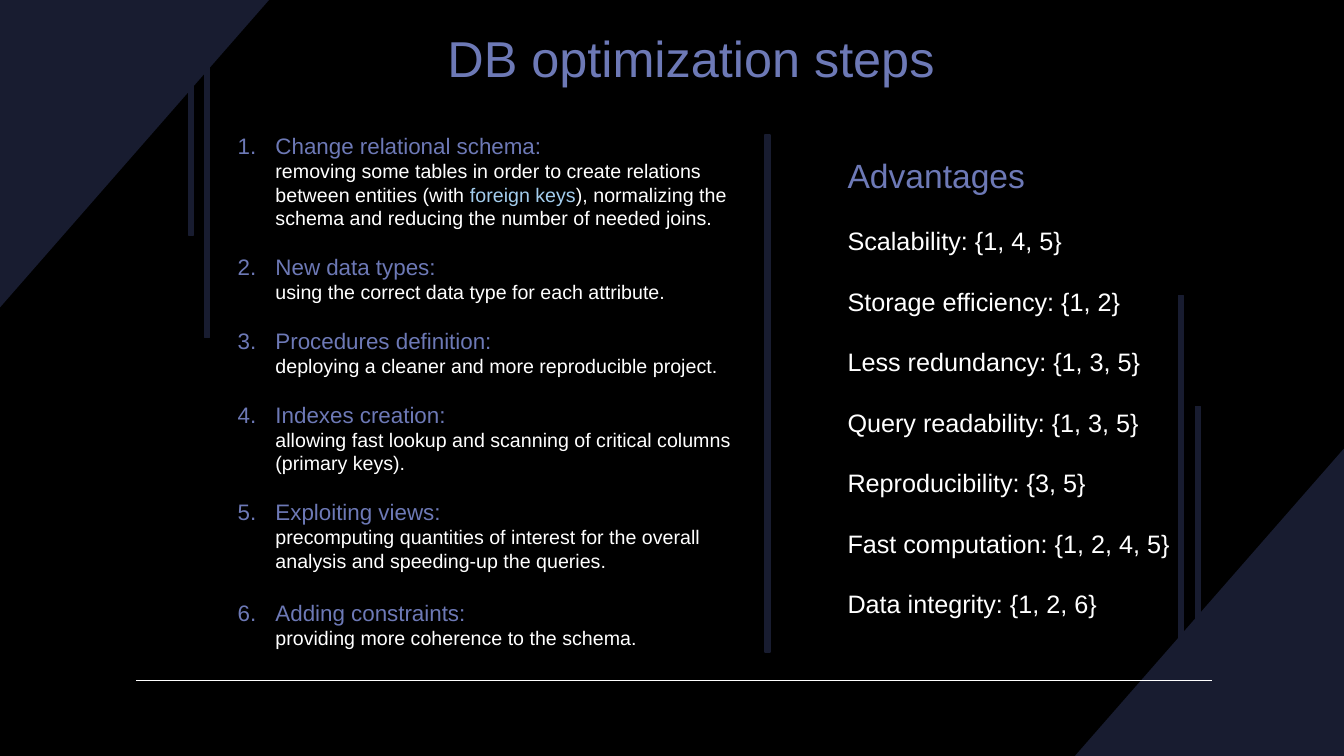
from pptx import Presentation
from pptx.dml.color import RGBColor
from pptx.enum.shapes import MSO_CONNECTOR, MSO_SHAPE
from pptx.oxml.ns import qn
from pptx.util import Pt

RECT = MSO_SHAPE.RECTANGLE
LINE = MSO_CONNECTOR.STRAIGHT
WIDE, HIGH = 960, 540


def hue(code):
    return RGBColor.from_string(code)


def write(para, text, size=14, color="FFFFFF", font="Arial"):
    run = para.add_run()
    run.text = text
    run.font.size = Pt(size)
    run.font.name = font
    run.font.color.rgb = hue(color)


class Deck:
    navy, blue, sky, white = "181C30", "6D79B6", "A3CDED", "FFFFFF"

    def __init__(self, slide):
        self.slide = slide
        fill = slide.background.fill
        fill.solid()
        fill.fore_color.rgb = hue("000000")

    def paint(self, shape):
        shape.shadow.inherit = False
        shape.fill.solid()
        shape.fill.fore_color.rgb = hue(self.navy)

    def wedge(self, *points):
        start, *rest = [(Pt(x), Pt(y)) for x, y in points]
        form = self.slide.shapes.build_freeform(*start)
        form.add_line_segments(rest, close=True)
        shape = form.convert_to_shape()
        self.paint(shape)
        shape.line.fill.background()

    def bar(self, left, top, high):
        shape = self.slide.shapes.add_shape(RECT, Pt(left), Pt(top), Pt(3.6), Pt(high))
        self.paint(shape)
        shape.line.color.rgb = hue(self.navy)
        shape.line.width = Pt(1)

    def rule(self, left, right, y):
        line = self.slide.shapes.add_connector(LINE, Pt(left), Pt(y), Pt(right), Pt(y))
        line.line.color.rgb = hue(self.white)
        line.line.width = Pt(1)
        props = line._element.spPr
        props.append(props.makeelement(qn("a:effectLst"), {}))

    def box(self, left, top, wide, high):
        frame = self.slide.shapes.add_textbox(Pt(left), Pt(top), Pt(wide), Pt(high)).text_frame
        frame.word_wrap = True
        return frame

    def para(self, frame, index, pitch, gap=0):
        para = frame.add_paragraph() if index else frame.paragraphs[0]
        para.line_spacing = Pt(pitch)
        if index:
            para.space_before = Pt(gap)
        return para

    def count(self, para, number):
        props = para._p.get_or_add_pPr()
        props.set("marL", str(Pt(27)))
        props.set("indent", str(-Pt(27)))
        mark = {"type": "arabicPeriod", "startAt": str(number)}
        props.append(props.makeelement(qn("a:buFont"), {"typeface": "Arial"}))
        props.append(props.makeelement(qn("a:buAutoNum"), mark))

    def title(self, text):
        frame = self.box(312.5, 15.8, 397, 51)
        write(self.para(frame, 0, 43.2), text, size=36, color=self.blue)

    def steps(self, items):
        frame = self.box(162.7, 93.2, 384.5, 395)
        for i, (head, gap, parts) in enumerate(items):
            para = self.para(frame, i, 16.8, gap)
            self.count(para, i + 1)
            write(para, head, size=16, color=self.blue)
            para.add_line_break()
            for text, color in parts:
                write(para, text, color=color)

    def gains(self, head, items):
        frame = self.box(598.3, 107.3, 261.4, 363.6)
        write(self.para(frame, 0, 28.8), head, size=24, color=self.blue)
        for i, text in enumerate(items, 1):
            write(self.para(frame, i, 21.6, 21.6), text, size=18)


STEPS = [
    ("Change relational schema:", 0, [
        ("removing some tables in order to create relations between entities (with ", Deck.white),
        ("foreign keys", Deck.sky),
        ("), normalizing the schema and reducing the number of needed joins.", Deck.white)]),
    ("New data types:", 19.2, [
        ("using the correct data type for each attribute.", Deck.white)]),
    ("Procedures definition:", 19.2, [
        ("deploying a cleaner and more reproducible project.", Deck.white)]),
    ("Indexes creation:", 19.2, [
        ("allowing fast lookup and scanning of critical columns (primary keys).", Deck.white)]),
    ("Exploiting views:", 19.2, [
        ("precomputing quantities of interest for the overall analysis "
         "and speeding-up the queries.", Deck.white)]),
    ("Adding constraints:", 21.7, [
        ("providing more coherence to the schema.", Deck.white)]),
]
GAINS = [
    "Scalability: {1, 4, 5}",
    "Storage efficiency: {1, 2}",
    "Less redundancy: {1, 3, 5}",
    "Query readability: {1, 3, 5}",
    "Reproducibility: {3, 5}",
    "Fast computation: {1, 2, 4, 5}",
    "Data integrity: {1, 2, 6}",
]
BARS = [(841.7, 211, 260), (853.9, 290.2, 175.7), (134.6, 15.8, 152),
        (146.2, 20.9, 220.3), (546.5, 96.5, 369.4)]


def main():
    show = Presentation()
    show.slide_width, show.slide_height = Pt(WIDE), Pt(HIGH)
    deck = Deck(show.slides.add_slide(show.slide_layouts[6]))

    # Corner wedges and base rule
    wide, high = 192.2, 219.6
    deck.wedge((WIDE, HIGH - high), (WIDE, HIGH), (WIDE - wide, HIGH))
    deck.wedge((0, high), (0, 0), (wide, 0))
    deck.rule(97.2, 865.4, 486)

    # Text
    deck.title("DB optimization steps")
    deck.steps(STEPS)
    deck.gains("Advantages", GAINS)

    # Upright bars
    for left, top, tall in BARS:
        deck.bar(left, top, tall)

    show.save("out.pptx")


if __name__ == "__main__":
    main()
